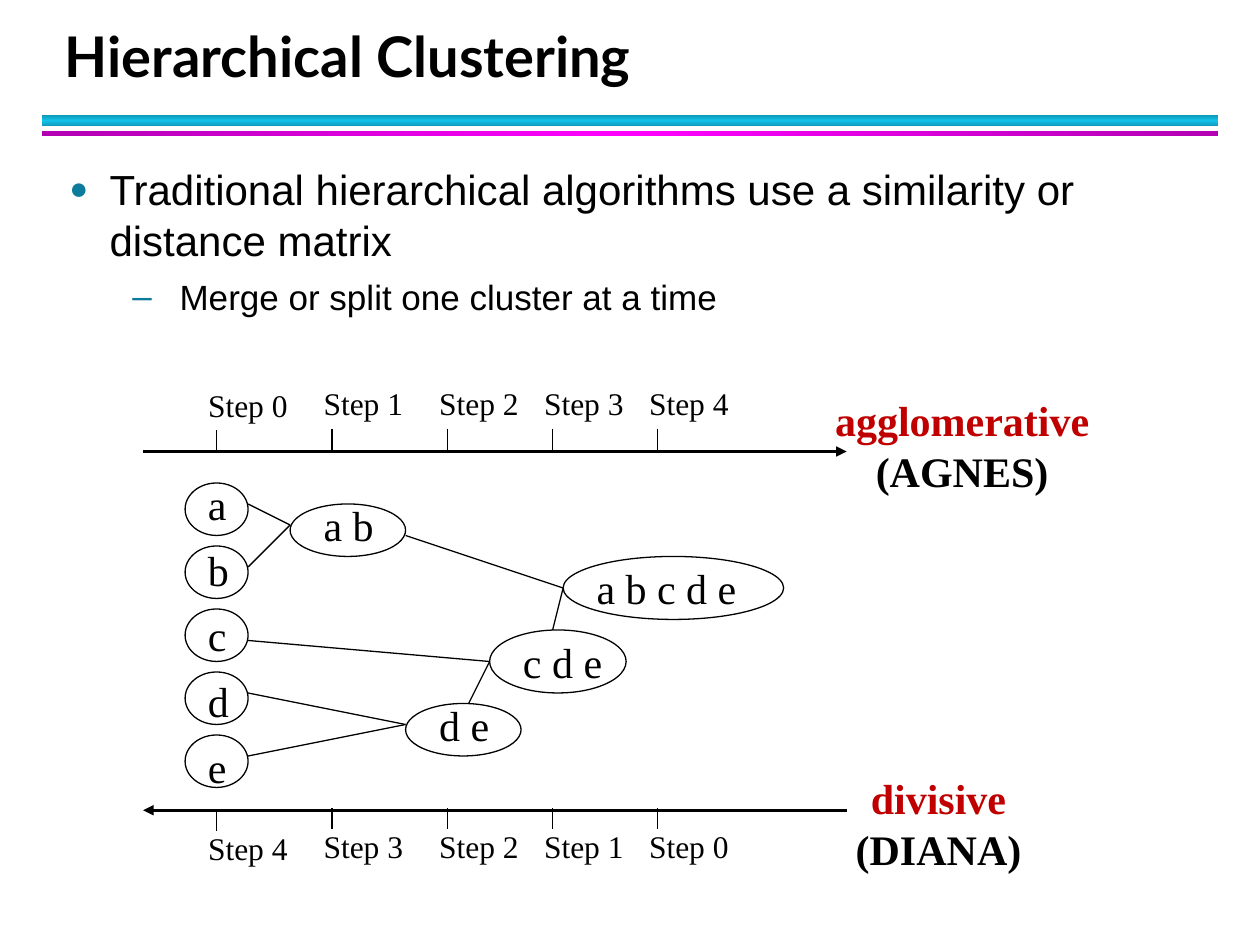
from copy import deepcopy

from lxml import etree
from pptx import Presentation
from pptx.dml.color import RGBColor
from pptx.enum.shapes import MSO_CONNECTOR, MSO_SHAPE
from pptx.enum.text import MSO_ANCHOR, PP_ALIGN
from pptx.oxml.ns import qn
from pptx.util import Pt

LINE = MSO_CONNECTOR.STRAIGHT
OVAL, RECT = MSO_SHAPE.OVAL, MSO_SHAPE.RECTANGLE
TOP, BOTTOM = MSO_ANCHOR.TOP, MSO_ANCHOR.BOTTOM
LEFT, CENTER = PP_ALIGN.LEFT, PP_ALIGN.CENTER

BLACK = RGBColor(0x00, 0x00, 0x00)
RED = RGBColor(0xC0, 0x00, 0x00)
TEAL = RGBColor(0x0C, 0x7B, 0x9C)
CYAN = RGBColor(0x12, 0xC2, 0xE9)
DEEP = RGBColor(0x0E, 0x9B, 0xBA)
PINK = RGBColor(0xFF, 0x00, 0xFF)
PLUM = RGBColor(0xB2, 0x00, 0xB2)

HEAD = {"name": "Lato", "size": Pt(32), "bold": True}
STEP = {"name": "Times New Roman", "size": Pt(18)}
NODE = {"name": "Times New Roman", "size": Pt(24)}
NOTE = {**NODE, "bold": True}


def apply(item, values):
    for key, value in values.items():
        setattr(item, key, value)


def add_text(slide, box, lines, wrap=True, anchor=TOP, align=LEFT):
    """Each line is a tuple of text, font values and colour."""
    frame = slide.shapes.add_textbox(*map(Pt, box)).text_frame
    apply(frame, {"word_wrap": wrap, "vertical_anchor": anchor})
    for i, (text, font, color) in enumerate(lines):
        para = frame.add_paragraph() if i else frame.paragraphs[0]
        para.alignment = align
        run = para.add_run()
        run.text = text
        apply(run.font, font)
        run.font.color.rgb = color
    return frame.paragraphs


def add_line(slide, start, end, width=0.75, arrow=False):
    line = slide.shapes.add_connector(LINE, *map(Pt, (*start, *end)))
    line.line.width = Pt(width)
    line.line.color.rgb = BLACK
    if arrow:
        etree.SubElement(line.line._get_or_add_ln(), qn("a:tailEnd"), type="triangle")
    etree.SubElement(line._element.spPr, qn("a:effectLst"))


def add_bar(slide, box, edge, middle, angle):
    bar = slide.shapes.add_shape(RECT, *map(Pt, box))
    bar.shadow.inherit = False
    bar.line.fill.background()
    fill = bar.fill
    fill.gradient()
    fill.gradient_angle = angle
    stops = bar._element.spPr.find(".//" + qn("a:gsLst"))
    stops.append(deepcopy(stops[0]))
    for stop, place, color in zip(fill.gradient_stops, (0, 0.5, 1), (edge, middle, edge)):
        stop.position = place
        stop.color.rgb = color


def add_bullet(para, mark, size, left, hang):
    props = para._p.get_or_add_pPr()
    props.set("marL", str(Pt(left)))
    props.set("indent", str(-Pt(hang)))
    color = etree.SubElement(props, qn("a:buClr"))
    etree.SubElement(color, qn("a:srgbClr"), val=str(TEAL))
    etree.SubElement(props, qn("a:buSzPct"), val=str(size * 1000))
    etree.SubElement(props, qn("a:buFont"), typeface="Arial")
    etree.SubElement(props, qn("a:buChar"), char=mark)


def draw_head(slide, x, y, w):
    """Title above two coloured bars."""
    title = add_text(slide, (x + 6, y, w - 20, 42),
                     [("Hierarchical Clustering", HEAD, BLACK)], anchor=BOTTOM)
    title[0].line_spacing = Pt(36)
    add_bar(slide, (x, y + 54, w, 6), DEEP, CYAN, 90)
    add_bar(slide, (x, y + 62.75, w, 3), PLUM, PINK, 0)


def draw_body(slide, *box):
    """Bulleted list of two levels."""
    first, second = add_text(slide, box, [
        ("Traditional hierarchical algorithms use a similarity or distance matrix",
         {"name": "Arial", "size": Pt(24)}, BLACK),
        ("Merge or split one cluster at a time",
         {"name": "Arial", "size": Pt(20)}, BLACK)])
    second.level = 1
    apply(first, {"space_before": Pt(3), "space_after": Pt(4)})
    apply(second, {"space_before": Pt(2.5), "space_after": Pt(4)})
    add_bullet(first, "●", 75, 23, 23)
    add_bullet(second, "–", 100, 63, 27)


def draw_axis(slide, x, y, ticks, names, tick, label, back=False):
    """Arrow at y; tick and label are offsets of the tick and text tops."""
    ends = [(x, y), (x + 402, y)]
    add_line(slide, *(ends[::-1] if back else ends), width=1.5, arrow=True)
    for i, (pos, name) in enumerate(zip(ticks, names)):
        drop = 0 if i else 1  # the first step sits a little lower
        top = y + tick + drop
        add_line(slide, (x + pos, top), (x + pos, top + 12))
        add_text(slide, (x + pos - 12, y + label + drop, 60, 29), [(name, STEP, BLACK)])


def draw_node(slide, name, oval, text):
    shape = slide.shapes.add_shape(OVAL, *map(Pt, oval))
    shape.shadow.inherit = False
    shape.fill.background()
    shape.line.width = Pt(0.75)
    shape.line.color.rgb = BLACK
    add_text(slide, text, [(name, NODE, BLACK)], wrap=False)


def draw_tree(slide, x, y):
    """Clusters joined from left to right."""
    for i, name in enumerate("abcde"):
        draw_node(slide, name, (x + 24, y + 60 + 36 * i, 36, 30),
                  (x + 30, y + 54 + 37.5 * i, 28, 36))
    merges = [("a b", 84, 72, 66, 30, 48), ("d e", 150, 186, 66, 30, 48),
              ("c d e", 198, 144, 78, 36, 64), ("a b c d e", 240, 102, 126, 36, 102)]
    for name, left, top, w, h, wide in merges:
        draw_node(slide, name, (x + left, y + top, w, h),
                  (x + left + 12, y + top + h - 36, wide, 36))
    # Both parts of a merge end at the same point
    links = {(84, 84): [(60, 72), (60, 108)],
             (150, 198): [(60, 180), (60, 216)],
             (198, 162): [(60, 150), (186, 186)],
             (240, 120): [(150, 90), (234, 144)]}
    for (right, low), starts in links.items():
        for left, top in starts:
            add_line(slide, (x + left, y + top), (x + right, y + low))


def draw_chart(slide, x, y):
    """Step axes, cluster tree and method names."""
    ticks = (42, 108, 174, 234, 294)
    steps = [f"Step {i}" for i in range(5)]
    draw_axis(slide, x, y + 42, ticks, steps, -13, -42)
    draw_tree(slide, x, y)
    draw_axis(slide, x, y + 247, ticks, steps[::-1], -1, 6, back=True)
    notes = [("agglomerative", "(AGNES)", 388, 6, 160),
             ("divisive", "(DIANA)", 400, 222, 109)]
    for name, short, left, top, w in notes:
        add_text(slide, (x + left, y + top, w, 65),
                 [(name, NOTE, RED), (short, NOTE, BLACK)], wrap=False, align=CENTER)


def main():
    deck = Presentation()
    apply(deck, {"slide_width": Pt(720), "slide_height": Pt(540)})
    slide = deck.slides.add_slide(deck.slide_layouts[6])
    draw_head(slide, 24, 12, 672)
    draw_body(slide, 32.5, 90, 655, 408)
    draw_chart(slide, 81.8, 216)
    deck.save("out.pptx")


if __name__ == "__main__":
    main()
